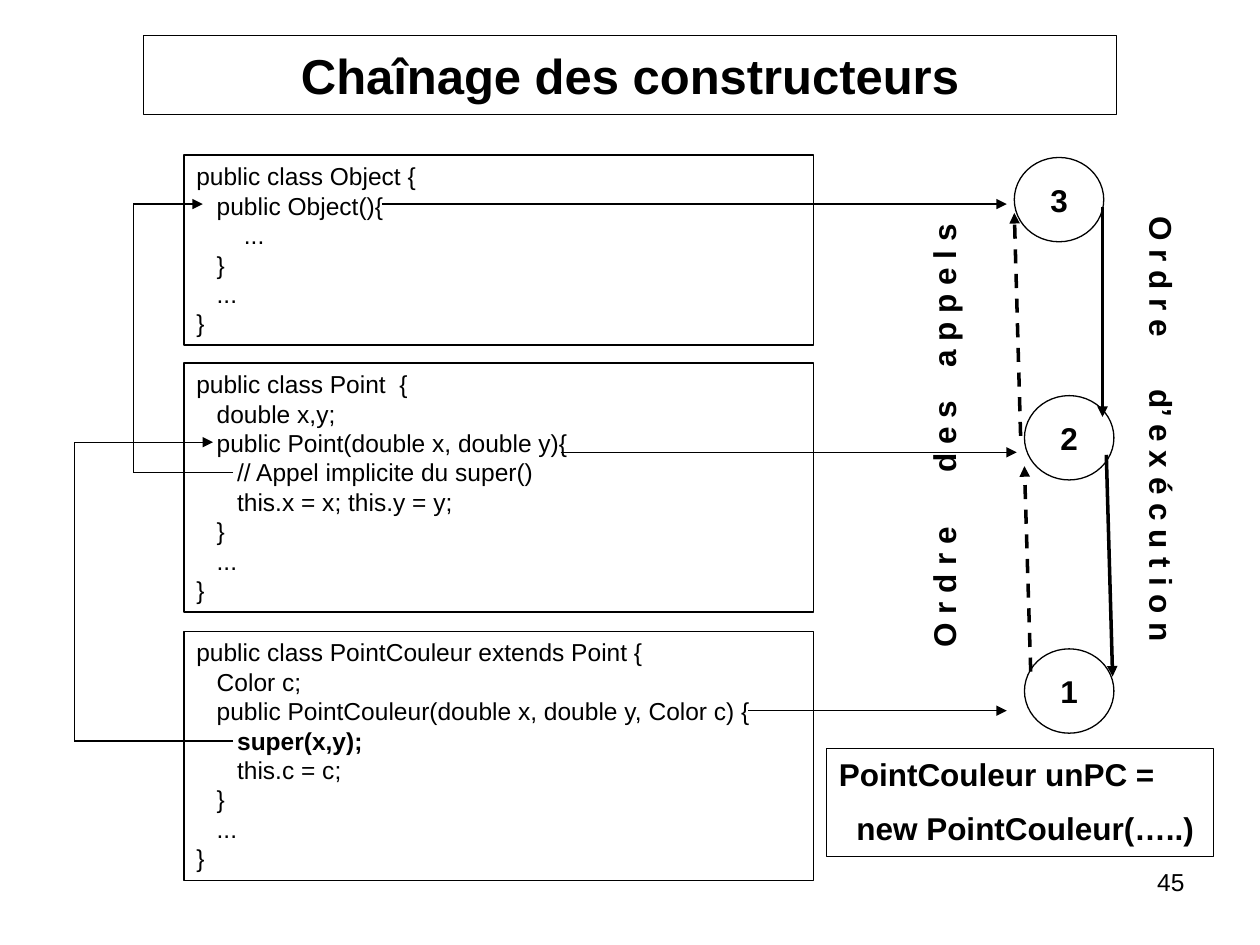
from lxml import etree
from pptx import Presentation
from pptx.dml.color import RGBColor
from pptx.enum.dml import MSO_LINE
from pptx.enum.shapes import MSO_CONNECTOR, MSO_SHAPE
from pptx.enum.text import MSO_ANCHOR, MSO_AUTO_SIZE, PP_ALIGN
from pptx.oxml.ns import qn
from pptx.util import Pt

RECTANGLE, OVAL = MSO_SHAPE.RECTANGLE, MSO_SHAPE.OVAL
STRAIGHT, DASH = MSO_CONNECTOR.STRAIGHT, MSO_LINE.DASH
LEFT, CENTER, RIGHT = PP_ALIGN.LEFT, PP_ALIGN.CENTER, PP_ALIGN.RIGHT
TOP, MIDDLE = MSO_ANCHOR.TOP, MSO_ANCHOR.MIDDLE
FONT, BLACK = "Arial", "000000"
THIN, THICK = 0.75, 2

# Content: lengths in points
TITLE = "Chaînage des constructeurs"
PAGE_NUMBER = "45"
BOLD_CODE = "super(x,y);"
CODE_LEFT, CODE_WIDTH = 105.1, 360
CODE_LINE, CODE_PADDING = 16.9, 7.2
CLASSES = [  # top, code lines
    (88.6, ["public class Object {",
            "   public Object(){",
            "       ...",
            "   }",
            "   ...",
            "}"]),
    (207.4, ["public class Point  {",
             "   double x,y;",
             "   public Point(double x, double y){",
             "      // Appel implicite du super()",
             "      this.x = x; this.y = y;",
             "   }",
             "   ...",
             "}"]),
    (360.7, ["public class PointCouleur extends Point {",
             "   Color c;",
             "   public PointCouleur(double x, double y, Color c) {",
             "      super(x,y);",
             "      this.c = c;",
             "   }",
             "   ...",
             "}"]),
]
CREATION = ["PointCouleur unPC =", "  new PointCouleur(…..)"]
STEPS = [("3", 579.6, 90), ("2", 585.4, 226.1), ("1", 585.4, 370.8)]
SUPER_CALLS = [  # corners of each path from a super() call up to its constructor
    [(133.2, 270), (76.3, 270), (76.3, 116.6), (115.9, 116.6)],
    [(133.2, 423.4), (42.5, 423.4), (42.5, 252.7), (121.7, 252.7)],
]
STEP_ARROWS = [  # constructor to its step number
    ((427.7, 406.1), (575.3, 406.1)),
    ((320.4, 258.5), (581, 258.5)),
    ((218.2, 116.6), (575.3, 116.6)),
]
CALL_ARROWS = [((589, 383.8), (585.4, 266.4)), ((583.2, 249.1), (579.6, 121.7))]
RUN_ARROWS = [((630, 118.1), (630, 238.3)), ((632.2, 259.9), (635.8, 386.6))]
ORDER_LABELS = [  # text, box, rotation, tab stops
    ("O r d r e\td e s\ta p p e l s", (406.1, 229.7, 266.4, 28.8), 270, [100, 160]),
    ("O r d r e\td’ e x é c u t i o n", (527.8, 238.3, 272.2, 28.8), 90, [99]),
]


def color(hex_code):
    return RGBColor.from_string(hex_code)


def write(shape, lines, size=18, bold=False, align=LEFT, anchor=TOP,
          wrap=True, gap=0, tabs=()):
    frame = shape.text_frame
    frame.auto_size = MSO_AUTO_SIZE.NONE
    frame.word_wrap = wrap
    frame.vertical_anchor = anchor
    for index, text in enumerate(lines):
        para = frame.add_paragraph() if index else frame.paragraphs[0]
        if tabs:
            tab_list = etree.SubElement(para._p.get_or_add_pPr(), qn("a:tabLst"))
            for position in tabs:
                etree.SubElement(tab_list, qn("a:tab"), pos=str(Pt(position)), algn="l")
        para.alignment = align
        para.space_before = Pt(gap if index else 0)
        span = para.add_run()
        span.text = text
        span.font.name = FONT
        span.font.size = Pt(size)
        span.font.bold = bold or text.strip() == BOLD_CODE
        span.font.color.rgb = color(BLACK)


def outline(shape, width=THIN):
    shape.line.color.rgb = color(BLACK)
    shape.line.width = Pt(width)


def add_box(page, kind, area, lines, **text_format):
    box = page.shapes.add_shape(kind, *map(Pt, area))
    box.shadow.inherit = False
    box.fill.background()
    outline(box)
    write(box, lines, **text_format)


def add_label(page, area, text, rotation=0, **text_format):
    box = page.shapes.add_textbox(*map(Pt, area))
    box.rotation = rotation
    write(box, [text], **text_format)


def add_line(page, start, end, width=THIN, dash=None, arrow=True):
    line = page.shapes.add_connector(STRAIGHT, *map(Pt, start + end))
    outline(line, width)
    if dash:
        line.line.dash_style = dash
    properties = line._element.spPr
    if arrow:
        etree.SubElement(properties.find(qn("a:ln")), qn("a:tailEnd"), type="triangle")
    etree.SubElement(properties, qn("a:effectLst"))


def add_title(page):
    title = page.shapes.title
    title.left, title.top, title.width, title.height = map(Pt, (82.1, 20.2, 555.8, 45.4))
    geometry = etree.SubElement(title._element.spPr, qn("a:prstGeom"), prst="roundRect")
    etree.SubElement(geometry, qn("a:avLst"))
    outline(title)
    write(title, [TITLE], size=28, bold=True, align=CENTER, anchor=MIDDLE, wrap=False)


def main():
    deck = Presentation()
    deck.slide_width, deck.slide_height = Pt(720), Pt(540)
    page = deck.slides.add_slide(deck.slide_layouts[5])
    add_title(page)

    # Classes and the object creation
    for top, lines in CLASSES:
        height = len(lines) * CODE_LINE + CODE_PADDING
        add_box(page, RECTANGLE, (CODE_LEFT, top, CODE_WIDTH, height), lines, size=14)
    add_box(page, RECTANGLE, (472.3, 427.7, 221, 61.9), CREATION, bold=True, gap=9.5)

    # Paths of the super() calls, with an arrowhead on the last stretch
    for corners in SUPER_CALLS:
        for start, end in zip(corners, corners[1:]):
            add_line(page, start, end, arrow=end == corners[-1])

    # Numbered steps and the two orders
    for number, left, top in STEPS:
        add_box(page, OVAL, (left, top, 51.1, 48.2), [number], bold=True,
                align=CENTER, anchor=MIDDLE, wrap=False)
    for start, end in CALL_ARROWS:
        add_line(page, start, end, width=THICK, dash=DASH)
    for start, end in RUN_ARROWS:
        add_line(page, start, end, width=THICK)
    for text, area, rotation, tabs in ORDER_LABELS:
        add_label(page, area, text, rotation=rotation, bold=True, tabs=tabs)
    for start, end in STEP_ARROWS:
        add_line(page, start, end)

    # Page number
    add_label(page, (516.2, 491.8, 167.8, 37.4), PAGE_NUMBER, size=14, align=RIGHT)
    deck.save("out.pptx")


if __name__ == "__main__":
    main()
